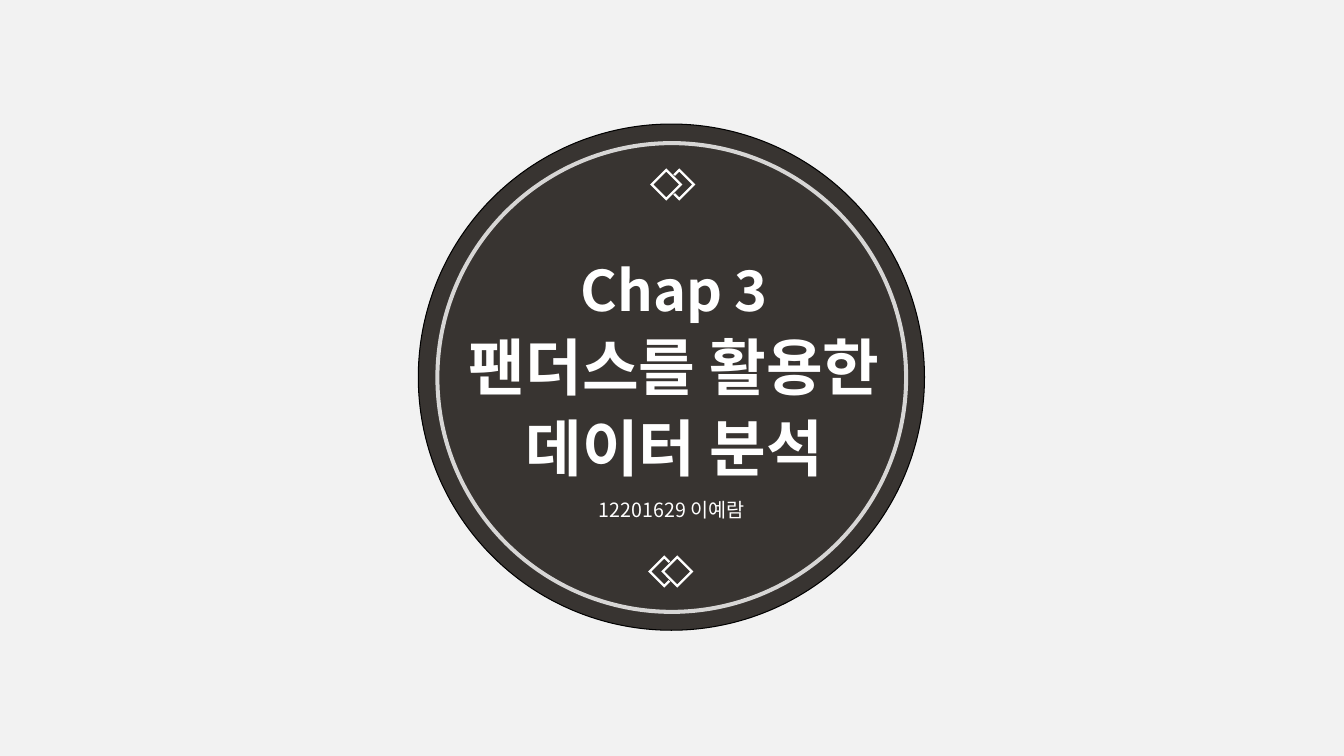
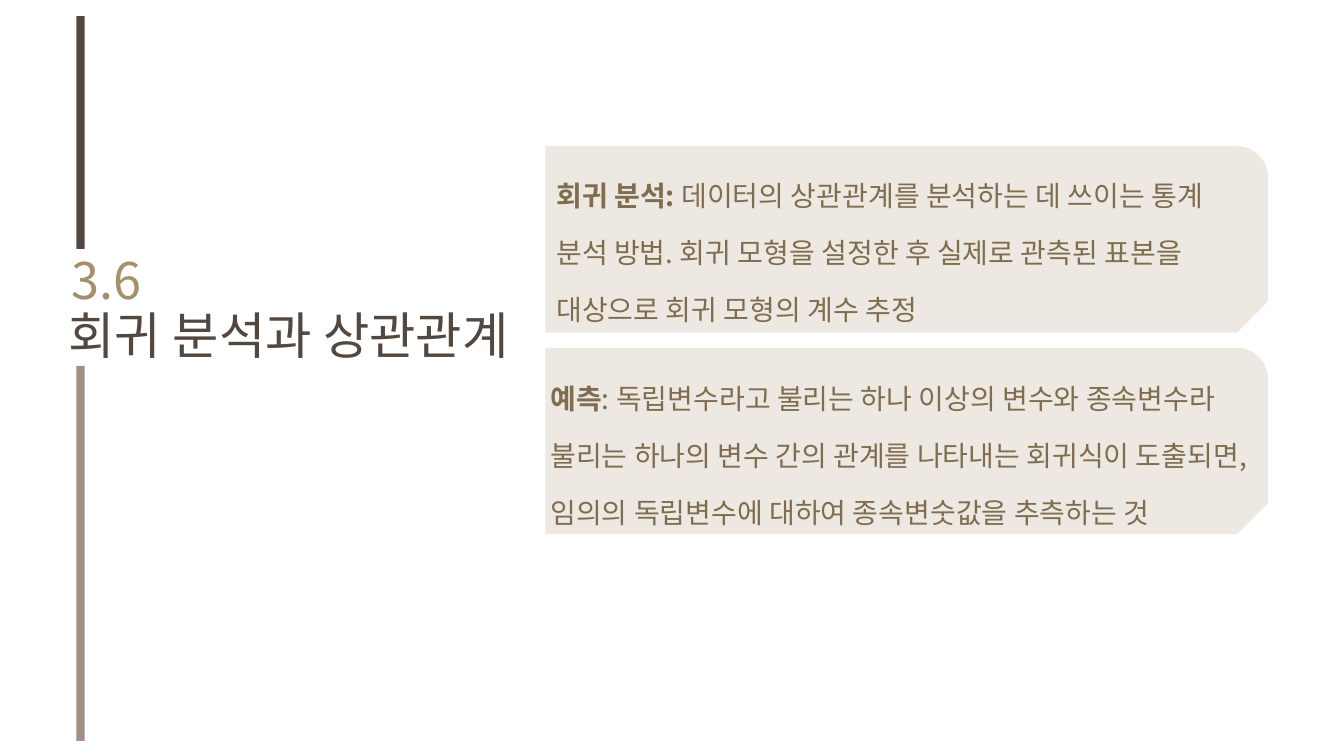
from lxml import etree
from pptx import Presentation
from pptx.dml.color import RGBColor
from pptx.enum.shapes import MSO_SHAPE
from pptx.enum.text import MSO_ANCHOR, MSO_AUTO_SIZE, PP_ALIGN
from pptx.oxml.ns import qn
from pptx.util import Pt

LEFT, CENTER = PP_ALIGN.LEFT, PP_ALIGN.CENTER
TOP = MSO_ANCHOR.TOP
NO_AUTOSIZE = MSO_AUTO_SIZE.NONE
OVAL, DONUT = MSO_SHAPE.OVAL, MSO_SHAPE.DONUT
RECTANGLE, CARD = MSO_SHAPE.RECTANGLE, MSO_SHAPE.SNIP_ROUND_RECTANGLE

FONT = "Noto Sans CJK KR"
COLORS = {
    "cover": "F2F2F2",
    "white": "FFFFFF",
    "black": "000000",
    "badge": "383431",
    "card": "EDE9E2",
    "dark": "53483F",
    "light": "A19083",
    "number": "A4906C",
    "definition": "7E6D4E",
}
TITLE_LAYOUT, TWO_CONTENT_LAYOUT = 0, 3
DIAMOND_OUTER, DIAMOND_INNER, DIAMOND_SHIFT = 11.5, 9.2, 9.3


def color(name):
    return RGBColor.from_string(COLORS[name])


def add_slide(deck, layout, background):
    slide = deck.slides.add_slide(deck.slide_layouts[layout])
    slide.background.fill.solid()
    slide.background.fill.fore_color.rgb = color(background)
    return slide


def style_shape(shape, fill):
    shape.shadow.inherit = False
    shape.fill.solid()
    shape.fill.fore_color.rgb = color(fill)
    shape.line.fill.background()


def add_shape(slide, kind, left, top, width, height, fill):
    shape = slide.shapes.add_shape(kind, Pt(left), Pt(top), Pt(width), Pt(height))
    style_shape(shape, fill)
    return shape


def add_outline(slide, center_x, center_y, contours):
    """Draw closed contours, given as offsets from a centre, as one white shape."""
    builder = None
    for contour in contours:
        points = [(Pt(center_x + x), Pt(center_y + y)) for x, y in contour]
        if builder is None:
            builder = slide.shapes.build_freeform(*points[0])
        else:
            builder.move_to(*points[0])
        builder.add_line_segments(points[1:], close=True)
    style_shape(builder.convert_to_shape(), "white")


def add_emblem(slide, center_x, center_y, side):
    """Draw a hollow diamond with a second one behind it; side is 1 right, -1 left."""
    outer, inner = DIAMOND_OUTER, DIAMOND_INNER
    chevron = [(0, inner), (inner, 0), (0, -inner), (-3, 3 - inner),
               (-4.3, 4.3 - outer), (0, -outer), (outer, 0), (0, outer),
               (-4.3, outer - 4.3), (-3, inner - 3)]
    add_outline(slide, center_x + side * DIAMOND_SHIFT, center_y,
                [[(side * x, y) for x, y in chevron]])
    add_outline(slide, center_x, center_y, [
        [(-outer, 0), (0, outer), (outer, 0), (0, -outer)],
        [(-inner, 0), (0, -inner), (inner, 0), (0, inner)],
    ])


def place_text(shape, left, top, width, height):
    """Move a text holder in front of the other shapes and fix its frame."""
    shape.left, shape.top = Pt(left), Pt(top)
    shape.width, shape.height = Pt(width), Pt(height)
    shape.element.getparent().append(shape.element)
    frame = shape.text_frame
    frame.auto_size = NO_AUTOSIZE
    frame.word_wrap = True
    frame.vertical_anchor = TOP
    return frame


def add_run(paragraph, text, size, color_name, bold=False):
    run = paragraph.add_run()
    run.text = text
    run.font.size = Pt(size)
    run.font.bold = bold
    run.font.color.rgb = color(color_name)
    run.font.name = FONT
    etree.SubElement(run.font._element, qn("a:ea")).set("typeface", FONT)


def format_paragraph(paragraph, align=LEFT, spacing=1.0):
    properties = paragraph._p.get_or_add_pPr()
    properties.set("marL", "0")
    properties.set("indent", "0")
    etree.SubElement(properties, qn("a:buNone"))
    paragraph.alignment = align
    paragraph.space_before = Pt(0)
    paragraph.line_spacing = spacing


def write_line(frame, text, size, color_name, align=LEFT):
    paragraph = frame.paragraphs[0]
    format_paragraph(paragraph, align)
    add_run(paragraph, text, size, color_name)


def write_cover_title(title):
    frame = place_text(title, 323.7, 172.8, 316, 174)
    frame.margin_left = frame.margin_right = Pt(0)
    frame.margin_top = frame.margin_bottom = Pt(0)
    lines = [("Chap 3", 40), ("팬더스를 활용한", 44), ("데이터 분석", 44)]
    for index, (text, size) in enumerate(lines):
        paragraph = frame.add_paragraph() if index else frame.paragraphs[0]
        format_paragraph(paragraph, CENTER, Pt(57.6))
        add_run(paragraph, text, size, "white", bold=True)


def write_definition(body, left, top, width, term, meaning):
    paragraph = place_text(body, left, top, width, 126).paragraphs[0]
    format_paragraph(paragraph, spacing=1.7)
    add_run(paragraph, term, 20, "definition", bold=True)
    add_run(paragraph, meaning, 20, "definition")


def build_cover(deck):
    slide = add_slide(deck, TITLE_LAYOUT, "cover")
    badge = add_shape(slide, OVAL, 298.8, 88.6, 361.6, 361.6, "badge")
    badge.line.color.rgb = color("black")
    badge.line.width = Pt(0.75)

    ring = add_shape(slide, DONUT, 311, 100.8, 337.7, 337.7, "white")
    ring.adjustments[0] = 0.0085
    ring_color = ring.fill._xPr.find(qn("a:solidFill"))[0]
    etree.SubElement(ring_color, qn("a:alpha")).set("val", "80000")

    add_emblem(slide, 483.8, 408.2, side=-1)
    add_emblem(slide, 475.9, 131.8, side=1)

    write_cover_title(slide.shapes.title)
    author = place_text(slide.placeholders[1], 400, 352, 160, 26)
    write_line(author, "12201629 이예람", 14, "white", CENTER)


def build_regression(deck):
    slide = add_slide(deck, TWO_CONTENT_LAYOUT, "white")
    card_width, card_height = 516.2, 133.2
    for center_y in (171, 315):
        card = add_shape(slide, CARD, 647.6 - card_height / 2,
                         center_y - card_width / 2,
                         card_height, card_width, "card")
        card.rotation = 90

    add_shape(slide, RECTANGLE, 54.5, 11.5, 6, 166.3, "dark")
    add_shape(slide, RECTANGLE, 54.5, 261.4, 6, 267.8, "light")

    section_number = slide.shapes.add_textbox(0, 0, 0, 0)
    write_line(place_text(section_number, 43.9, 174.2, 159, 51),
               "3.6", 36, "number")
    write_line(place_text(slide.shapes.title, 41.8, 213.8, 344, 51),
               "회귀 분석과 상관관계", 36, "dark")

    write_definition(
        slide.placeholders[1], 390.2, 107.3, 515.5, "회귀 분석: ",
        "데이터의 상관관계를 분석하는 데 쓰이는 통계 분석 방법. "
        "회귀 모형을 설정한 후 실제로 관측된 표본을 대상으로 회귀 모형의 계수 추정")
    write_definition(
        slide.placeholders[2], 385.9, 252, 526.3, "예측",
        ": 독립변수라고 불리는 하나 이상의 변수와 종속변수라 불리는 하나의 변수 간의 "
        "관계를 나타내는 회귀식이 도출되면, 임의의 독립변수에 대하여 종속변숫값을 추측하는 것")


def main():
    deck = Presentation()
    deck.slide_width, deck.slide_height = Pt(960), Pt(540)
    build_cover(deck)
    build_regression(deck)
    deck.save("out.pptx")


if __name__ == "__main__":
    main()
